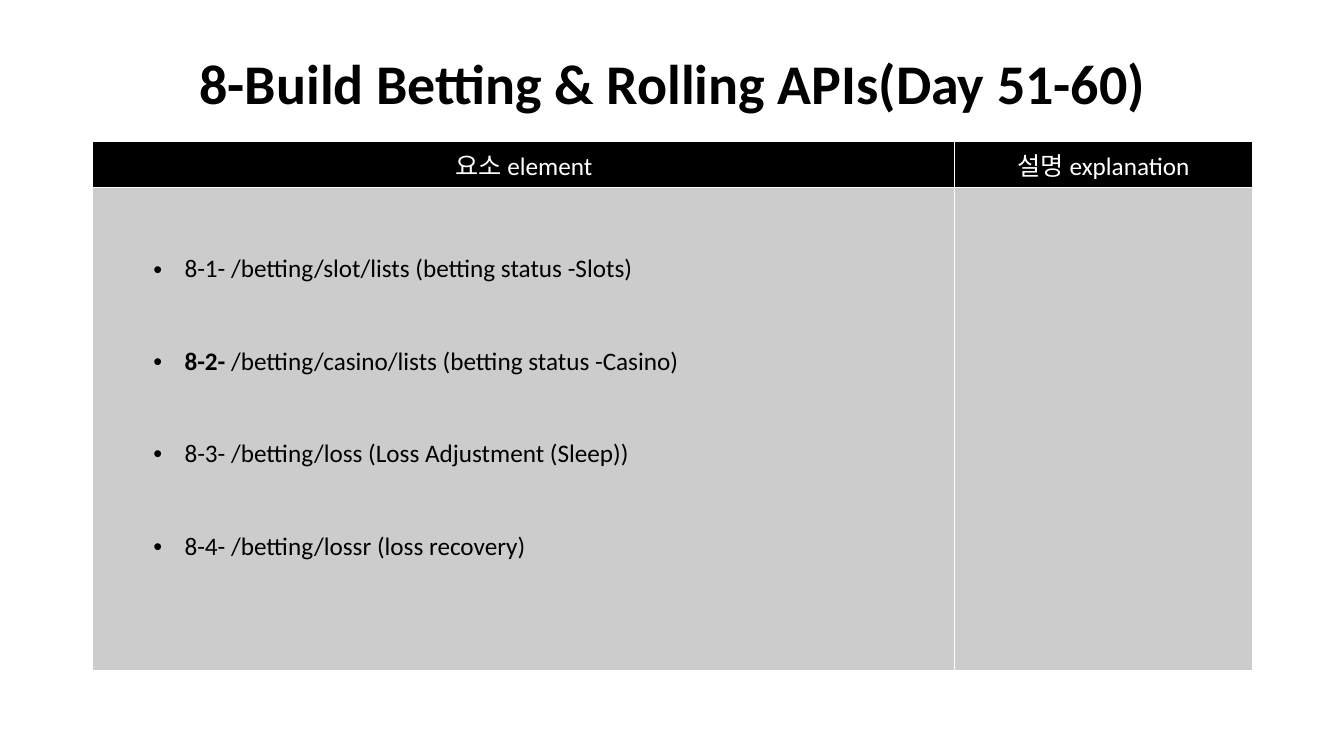
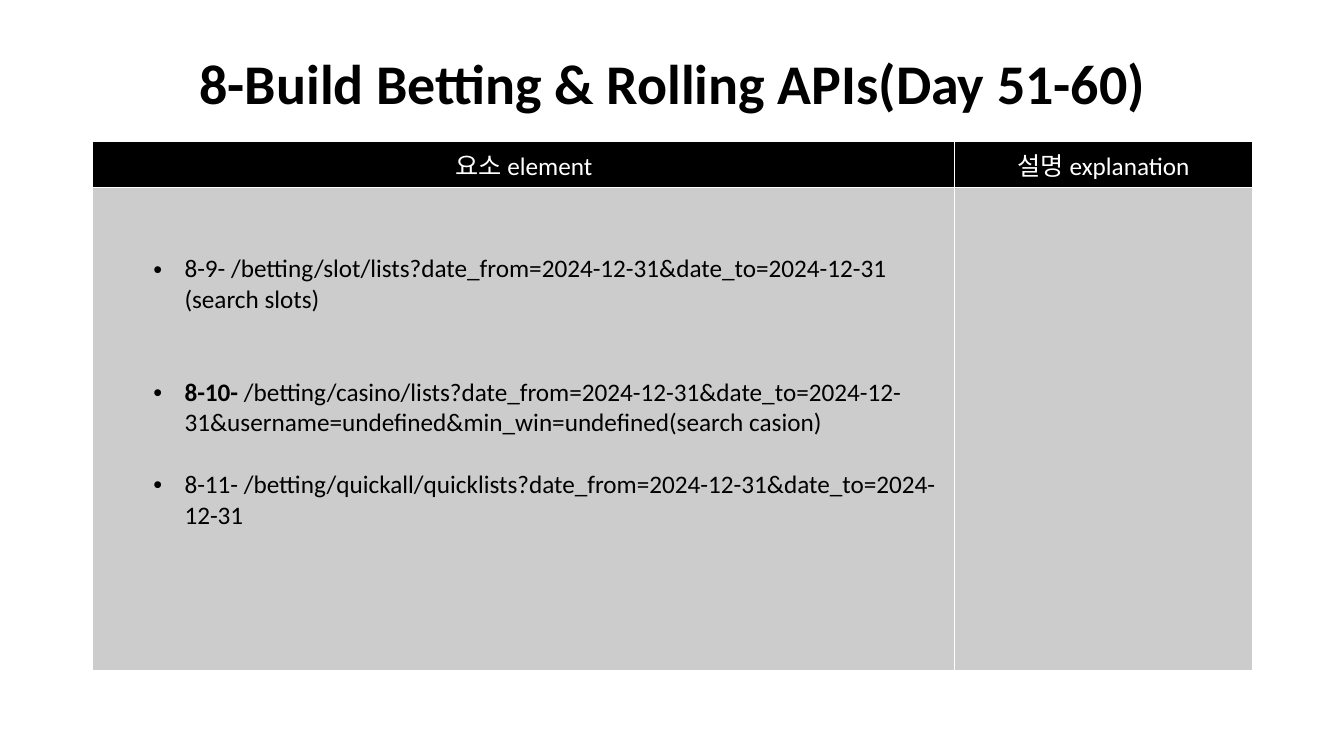
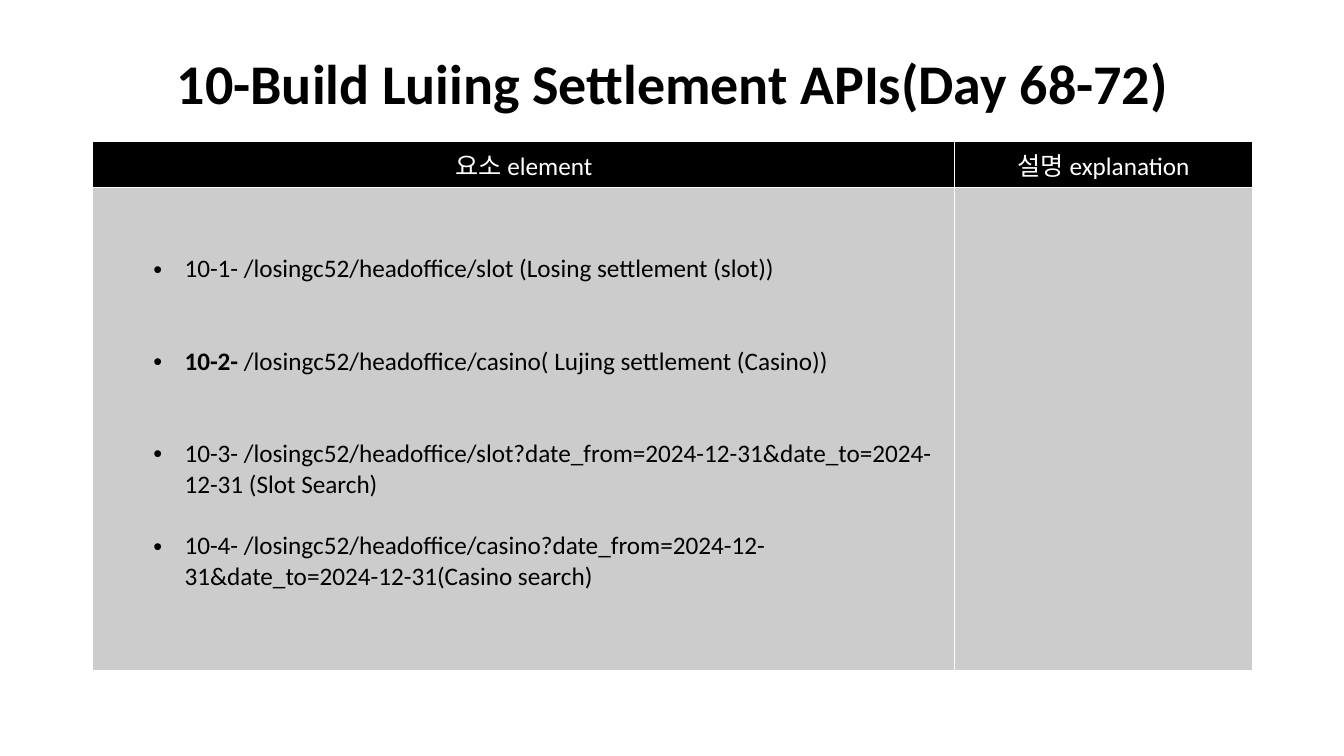
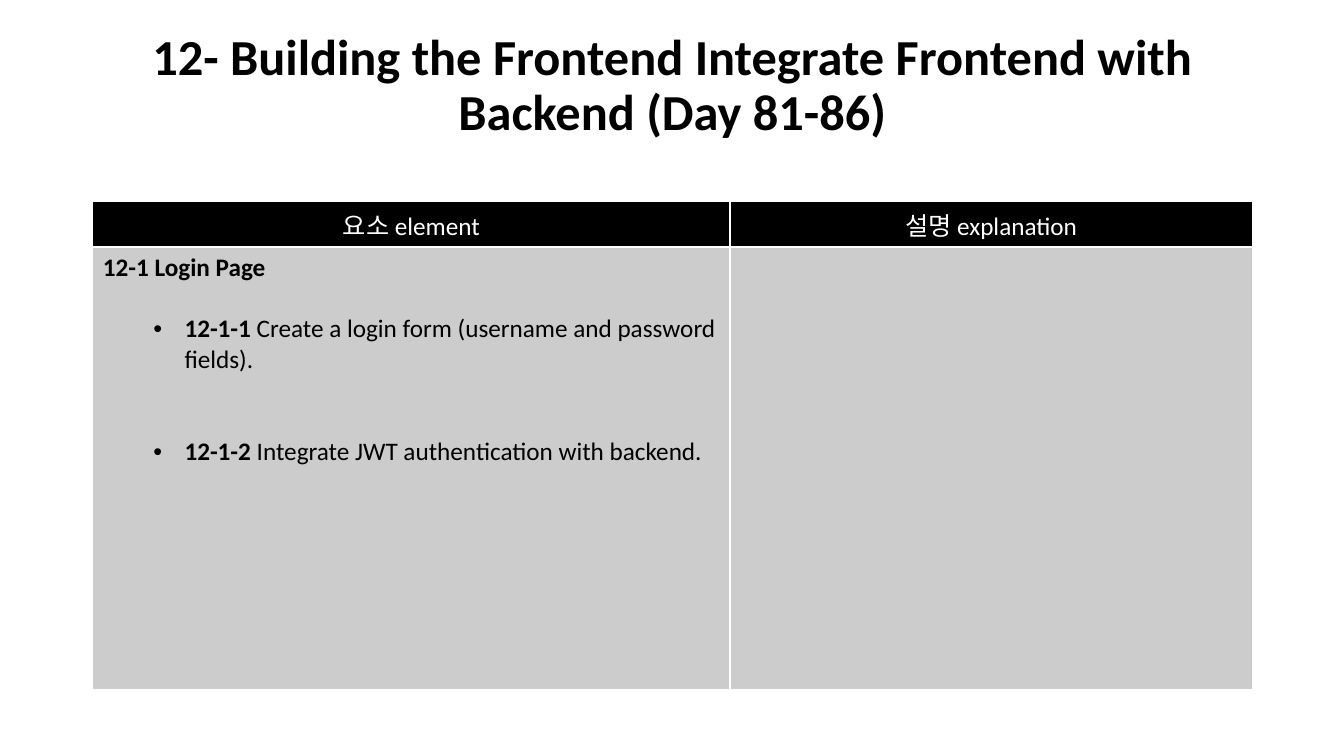
import pptx
import pptx.util
import pptx.dml.color
import pptx.enum.text
import pptx.oxml
import pptx.oxml.ns
import lxml.etree

Inches = pptx.util.Inches
Pt = pptx.util.Pt
ALIGN = pptx.enum.text.PP_ALIGN
ANCHOR = pptx.enum.text.MSO_ANCHOR

HUES = {"ink": "000000", "paper": "FFFFFF", "cell": "CCCCCC"}
FONT = "Calibri"
LEFT, WIDTH = 0.92, 11.5
LINE = 22
HEADS = ("요소 element", "설명 explanation")
BETS = "8-Build Betting & Rolling APIs(Day 51-60)"
WIDE = {"top": 1.4, "cols": (8.55, 2.95), "rows": (0.46, 4.79), "pad": 0.66}
EVEN = {"top": 2, "cols": (6.32, 5.18), "rows": (0.45, 4.39), "pad": 0.05}

SLIDES = [
    (BETS, 40, WIDE, None, [
        (0, "", "8-1- /betting/slot/lists (betting status -Slots)"),
        (2, "8-2-", " /betting/casino/lists (betting status -Casino)"),
        (2, "", "8-3- /betting/loss (Loss Adjustment (Sleep))"),
        (2, "", "8-4- /betting/lossr (loss recovery)"),
    ]),
    (BETS, 40, WIDE, None, [
        (0, "", "8-9- /betting/slot/lists?date_from=2024-12-31&date_to=2024-12-31 (search slots)"),
        (2, "8-10-", " /betting/casino/lists?date_from=2024-12-31&date_to=2024-12-31"
                     "&username=undefined&min_win=undefined(search casion)"),
        (1, "", "8-11- /betting/quickall/quicklists?date_from=2024-12-31&date_to=2024-12-31"),
    ]),
    ("10-Build Luiing Settlement APIs(Day 68-72)", 40, WIDE, None, [
        (0, "", "10-1- /losingc52/headoffice/slot (Losing settlement (slot))"),
        (2, "10-2-", " /losingc52/headoffice/casino( Lujing settlement (Casino))"),
        (2, "", "10-3- /losingc52/headoffice/slot?date_from=2024-12-31&date_to=2024-12-31 (Slot Search)"),
        (1, "", "10-4- /losingc52/headoffice/casino?date_from=2024-12-31&date_to=2024-12-31(Casino search)"),
    ]),
    ("12- Building the Frontend Integrate Frontend with Backend (Day 81-86)", 36, EVEN,
     "12-1 Login Page", [
        (1, "12-1-1", " Create a login form (username and password fields)."),
        (2, "12-1-2", " Integrate JWT authentication with backend."),
    ]),
]


def shade(name):
    return pptx.dml.color.RGBColor.from_string(HUES[name])


def add_run(para, text, size=18, hue="ink", bold=False):
    run = para.add_run()
    run.text = text
    run.font.name = FONT
    run.font.size = Pt(size)
    run.font.bold = bold
    run.font.color.rgb = shade(hue)


def add_title(slide, text, size):
    box = slide.shapes.add_textbox(Inches(LEFT), Inches(0.4), Inches(WIDTH), Inches(1.45))
    frame = box.text_frame
    frame.word_wrap = True
    frame.vertical_anchor = ANCHOR.MIDDLE
    frame.margin_bottom = Inches(0.58)
    para = frame.paragraphs[0]
    para.alignment = ALIGN.CENTER
    para.line_spacing = 0.9
    add_run(para, text, size, bold=True)


def set_bullet(para):
    props = para._p.get_or_add_pPr()
    props.set("marL", str(Inches(0.81)))
    props.set("indent", str(Inches(-0.31)))
    qn = pptx.oxml.ns.qn
    lxml.etree.SubElement(props, qn("a:buFont")).set("typeface", "Arial")
    lxml.etree.SubElement(props, qn("a:buChar")).set("char", "•")


def style_cell(cell, hue):
    props = cell._tc.get_or_add_tcPr()
    space = pptx.oxml.ns.nsdecls("a")
    for side in "LRTB":
        props.append(pptx.oxml.parse_xml(
            f'<a:ln{side} {space} w="{Pt(1)}"><a:solidFill>'
            f'<a:srgbClr val="{HUES["paper"]}"/></a:solidFill></a:ln{side}>'))
    cell.fill.solid()
    cell.fill.fore_color.rgb = shade(hue)


def fill_body(cell, head, items):
    frame = cell.text_frame
    para = frame.paragraphs[0]
    if head:
        add_run(para, head, bold=True)
    for rank, (gap, mark, text) in enumerate(items):
        if rank or head:
            para = frame.add_paragraph()
        para.space_before = Pt(gap * LINE)
        set_bullet(para)
        if mark:
            add_run(para, mark, bold=True)
        add_run(para, text)


def add_grid(slide, plan, head, items):
    rows, cols = plan["rows"], plan["cols"]
    grid = slide.shapes.add_table(
        len(rows), len(cols), Inches(LEFT), Inches(plan["top"]),
        Inches(WIDTH), Inches(sum(rows))).table
    for row, size in zip(grid.rows, rows):
        row.height = Inches(size)
    for col, size in zip(grid.columns, cols):
        col.width = Inches(size)
    for spot, text in enumerate(HEADS):
        cell = grid.cell(0, spot)
        style_cell(cell, "ink")
        para = cell.text_frame.paragraphs[0]
        para.alignment = ALIGN.CENTER
        add_run(para, text, hue="paper")
        style_cell(grid.cell(1, spot), "cell")
    body = grid.cell(1, 0)
    body.margin_top = Inches(plan["pad"])
    fill_body(body, head, items)


def main():
    deck = pptx.Presentation()
    deck.slide_width = Inches(13.33)
    deck.slide_height = Inches(7.5)
    for title, size, plan, head, items in SLIDES:
        slide = deck.slides.add_slide(deck.slide_layouts[6])
        add_title(slide, title, size)
        add_grid(slide, plan, head, items)
    deck.save("out.pptx")


if __name__ == "__main__":
    main()
